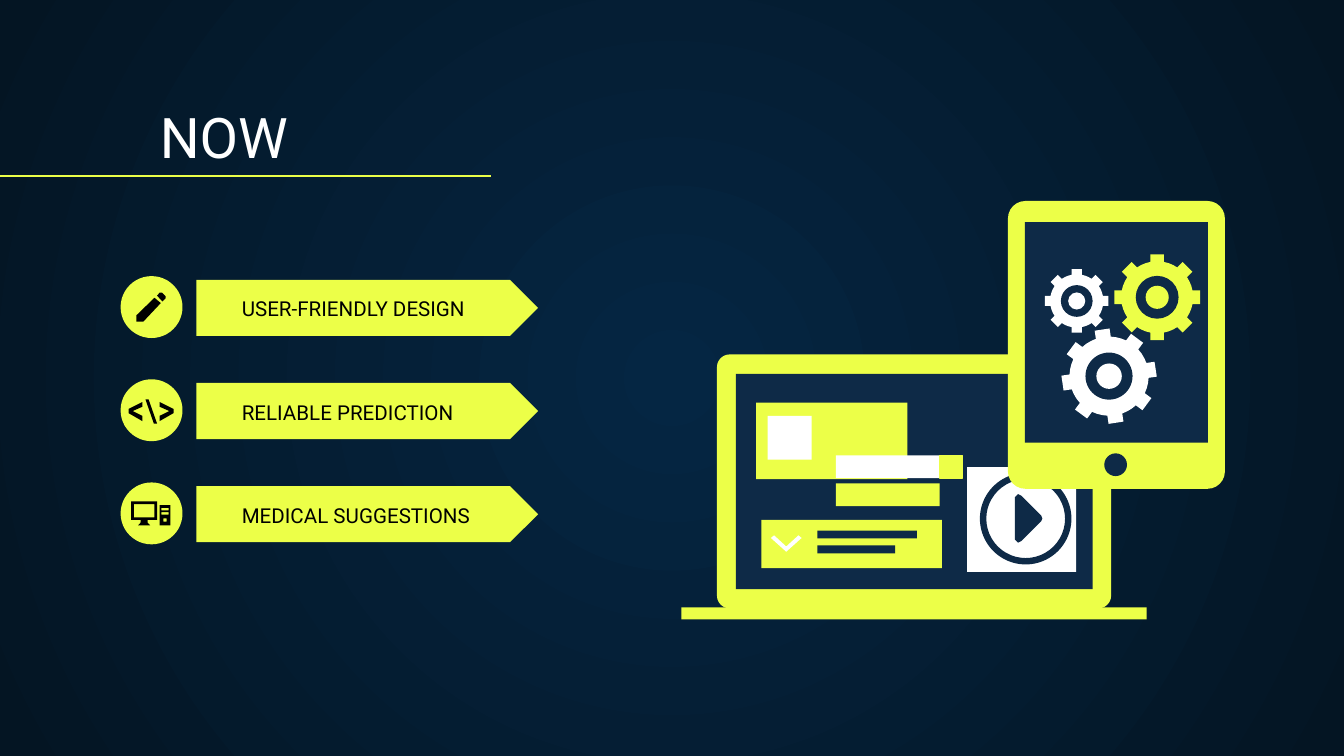
import math
from dataclasses import dataclass

from lxml import etree
from pptx import Presentation
from pptx import util as u
from pptx.dml.color import RGBColor
from pptx.enum import shapes, text
from pptx.oxml.ns import qn

MSO = shapes.MSO_SHAPE


@dataclass(frozen=True)
class Theme:
    """Colours, font and type sizes of the deck."""
    lime: str = "ECFF48"
    navy: str = "0E2A47"
    white: str = "FFFFFF"
    black: str = "000000"
    glow: str = "052643"
    night: str = "041523"
    font: str = "Roboto"
    title: float = 30
    label: float = 11
    rule: float = 0.75


T = Theme()


def rgb(value):
    """Turn a hex value into a colour."""
    return RGBColor.from_string(value)


def paint(sp, fill):
    """Give a shape a flat fill without line or shadow."""
    sp.shadow.inherit = False
    sp.fill.solid()
    sp.fill.fore_color.rgb = rgb(fill)
    sp.line.fill.background()
    return sp


def preset(s, kind, origin, box, fill, adj=None):
    """Draw a preset shape; box is in cm from the origin."""
    x, y, w, h = box
    sp = s.shapes.add_shape(kind, u.Cm(origin[0] + x), u.Cm(origin[1] + y),
                            u.Cm(w), u.Cm(h))
    if adj is not None:
        sp.adjustments[0] = adj
    return paint(sp, fill)


def outline(s, origin, contours, fill):
    """Draw closed contours in cm from the origin; inner ones are holes."""
    placed = [[(u.Cm(origin[0] + x), u.Cm(origin[1] + y)) for x, y in c]
              for c in contours]
    fb = s.shapes.build_freeform(*placed[0][0], scale=1.0)
    for i, pts in enumerate(placed):
        if i:
            fb.move_to(*pts[0])
        fb.add_line_segments(pts[1:], close=True)
    return paint(fb.convert_to_shape(), fill)


def rect(x1, y1, x2, y2):
    """Return the corners of a rectangle."""
    return [(x1, y1), (x2, y1), (x2, y2), (x1, y2)]


def write(sp, words, size, color):
    """Fill a text frame with one bottom-anchored, left-aligned paragraph."""
    tf = sp.text_frame
    tf.text = words
    tf.word_wrap = True
    tf.auto_size = text.MSO_AUTO_SIZE.NONE
    tf.vertical_anchor = text.MSO_ANCHOR.BOTTOM
    tf.margin_left = tf.margin_right = u.Cm(0.25)
    tf.margin_top = tf.margin_bottom = u.Cm(0.25)
    p = tf.paragraphs[0]
    p.alignment = text.PP_ALIGN.LEFT
    p.font.name, p.font.size = T.font, u.Pt(size)
    p.font.color.rgb = rgb(color)


def background(s):
    """Fill the slide with a gradient that glows from the centre."""
    fill = s.background.fill
    fill.gradient()
    for stop, color in zip(fill.gradient_stops, (T.glow, T.night)):
        stop.color.rgb = rgb(color)
    grad = next(s.element.iter(qn("a:gradFill")))
    grad.remove(grad.find(qn("a:lin")))
    way = etree.SubElement(grad, qn("a:path"), {"path": "circle"})
    etree.SubElement(way, qn("a:fillToRect"), dict.fromkeys("ltrb", "50000"))


def heading(s, box, words):
    """Place the title and the rule that runs in from the left edge."""
    x, y, w, h = box
    sp = s.shapes.title
    sp.left, sp.top, sp.width, sp.height = map(u.Cm, box)
    write(sp, words, T.title, T.white)
    rule_y = u.Cm(y + 1.55)
    ln = s.shapes.add_connector(shapes.MSO_CONNECTOR.STRAIGHT,
                                0, rule_y, u.Cm(x + 6.5), rule_y)
    ln.line.color.rgb = rgb(T.lime)
    ln.line.width = u.Pt(T.rule)
    etree.SubElement(ln.element.spPr, qn("a:effectLst"))


def pencil(s, origin):
    """Draw the pencil icon."""
    shaft = [(.64, .41), (.3, .74), (.3, .86), (.43, .86), (.76, .51)]
    end = [(.69, .37), (.79, .48), (.85, .42), (.85, .38), (.78, .31), (.74, .31)]
    outline(s, origin, [shaft, end], T.black)


def code(s, origin):
    """Draw the code icon: two mirrored brackets and a slash."""
    left = [(.41, .43), (.15, .56), (.15, .64), (.41, .79),
            (.41, .69), (.23, .6), (.41, .52)]
    right = [(1.15 - x, y) for x, y in left]
    slash = [(.47, .38), (.53, .38), (.69, .84), (.63, .84)]
    outline(s, origin, [left, slash, right], T.black)


def computer(s, origin):
    """Draw the icon of a monitor with a tower beside it."""
    monitor = [(.2, .36), (.69, .36), (.69, .71), (.51, .71), (.51, .76),
               (.56, .81), (.33, .81), (.38, .76), (.38, .71), (.2, .71)]
    outline(s, origin, [monitor, rect(.25, .41, .64, .66)], T.black)
    outline(s, origin, [rect(.74, .43, .94, .81), rect(.77, .48, .91, .53),
                        rect(.77, .56, .91, .61), rect(.81, .68, .87, .74)], T.black)


def feature(s, origin, icon, words):
    """Place one row: icon disc, arrow plate and label."""
    preset(s, MSO.PENTAGON, origin, (1.43, .07, 6.46, 1.06), T.lime, .5)
    preset(s, MSO.OVAL, origin, (0, 0, 1.17, 1.17), T.lime)
    icon(s, origin)
    sp = s.shapes.add_textbox(u.Cm(origin[0] + 2.04), u.Cm(origin[1] + .57),
                              u.Cm(5.77), u.Cm(.53))
    write(sp, words, T.label, T.black)


def gear(s, origin, cx, cy, r, turn, fill):
    """Draw an eight-toothed gear with a ring and a hub."""
    body, half = .84 * r, .16 * r
    rim = math.degrees(math.asin(half / body))
    tip = math.degrees(math.atan2(half, r))
    far = math.hypot(r, half)
    profile = [(-rim, body), (-tip, far), (tip, far), (rim, body),
               (18.5, body), (26.5, body)]
    pts = []
    for tooth in range(8):
        for angle, reach in profile:
            a = math.radians(45 * tooth + turn + angle)
            pts.append((cx + reach * math.cos(a), cy + reach * math.sin(a)))
    outline(s, origin, [pts], fill)
    for q, color in ((.5 * r, T.navy), (.27 * r, fill)):
        preset(s, MSO.OVAL, origin, (cx - q, cy - q, 2 * q, 2 * q), color)


def laptop(s, origin):
    """Draw the laptop with the panels on its screen."""
    preset(s, MSO.ROUNDED_RECTANGLE, origin, (.67, 0, 7.45, 4.8), T.lime, .05)
    for box, fill in (
        ((1.03, .37, 6.74, 4.07), T.navy),      # screen
        ((0, 4.78, 8.79, .23), T.lime),         # base
        ((1.41, .91, 2.86, 1.45), T.lime),      # card
        ((1.63, 1.16, .83, .83), T.white),      # card thumbnail
        ((1.51, 3.13, 3.41, .91), T.lime),      # note
        ((2.57, 3.33, 1.88, .15), T.navy),      # note lines
        ((2.57, 3.61, 1.47, .15), T.navy),
        ((2.92, 2.44, 1.96, .43), T.lime),      # button
        ((2.92, 1.91, 1.96, .43), T.white),     # search field
        ((5.4, 2.13, 2.06, 1.98), T.white),     # video
    ):
        preset(s, MSO.RECTANGLE, origin, box, fill)
    sp = preset(s, MSO.RECTANGLE, origin, (4.88, 1.91, .43, .43), T.lime)
    sp.line.color.rgb = rgb(T.lime)
    sp.line.width = u.Pt(T.rule)
    outline(s, origin, [[(1.69, 3.47), (1.75, 3.42), (1.98, 3.63), (2.21, 3.42),
                         (2.27, 3.47), (1.98, 3.73)]], T.white)
    preset(s, MSO.DONUT, origin, (5.64, 2.24, 1.73, 1.73), T.navy, .07)
    outline(s, origin, [[(6.3, 2.7), (6.36, 2.64), (6.42, 2.67), (6.8, 3.05),
                         (6.82, 3.1), (6.8, 3.15), (6.42, 3.53), (6.36, 3.56),
                         (6.3, 3.5)]], T.navy)


def tablet(s, origin):
    """Draw the tablet with three gears on its screen."""
    preset(s, MSO.ROUNDED_RECTANGLE, origin, (0, 0, 4.1, 5.44), T.lime, .08)
    preset(s, MSO.RECTANGLE, origin, (.32, .4, 3.46, 4.17), T.navy)
    preset(s, MSO.OVAL, origin, (1.82, 4.77, .43, .43), T.navy)
    gear(s, origin, 2.82, 1.82, .81, 0, T.lime)
    gear(s, origin, 1.3, 1.89, .6, 0, T.white)
    gear(s, origin, 1.91, 3.31, .89, -8.5, T.white)


prs = Presentation()
prs.slide_width, prs.slide_height = u.Cm(25.4), u.Cm(14.29)
s = prs.slides.add_slide(prs.slide_layouts[0])
subtitle = s.placeholders[1].element
subtitle.getparent().remove(subtitle)

background(s)
heading(s, (2.77, 1.78, 21.77, 1.68), "NOW")
features = [(pencil, "USER-FRIENDLY DESIGN"), (code, "RELIABLE PREDICTION"),
            (computer, "MEDICAL SUGGESTIONS")]
for row, (icon, words) in enumerate(features):
    feature(s, (2.28, 5.22 + 1.95 * row), icon, words)
laptop(s, (12.88, 6.7))
tablet(s, (19.05, 3.8))
prs.save("out.pptx")
